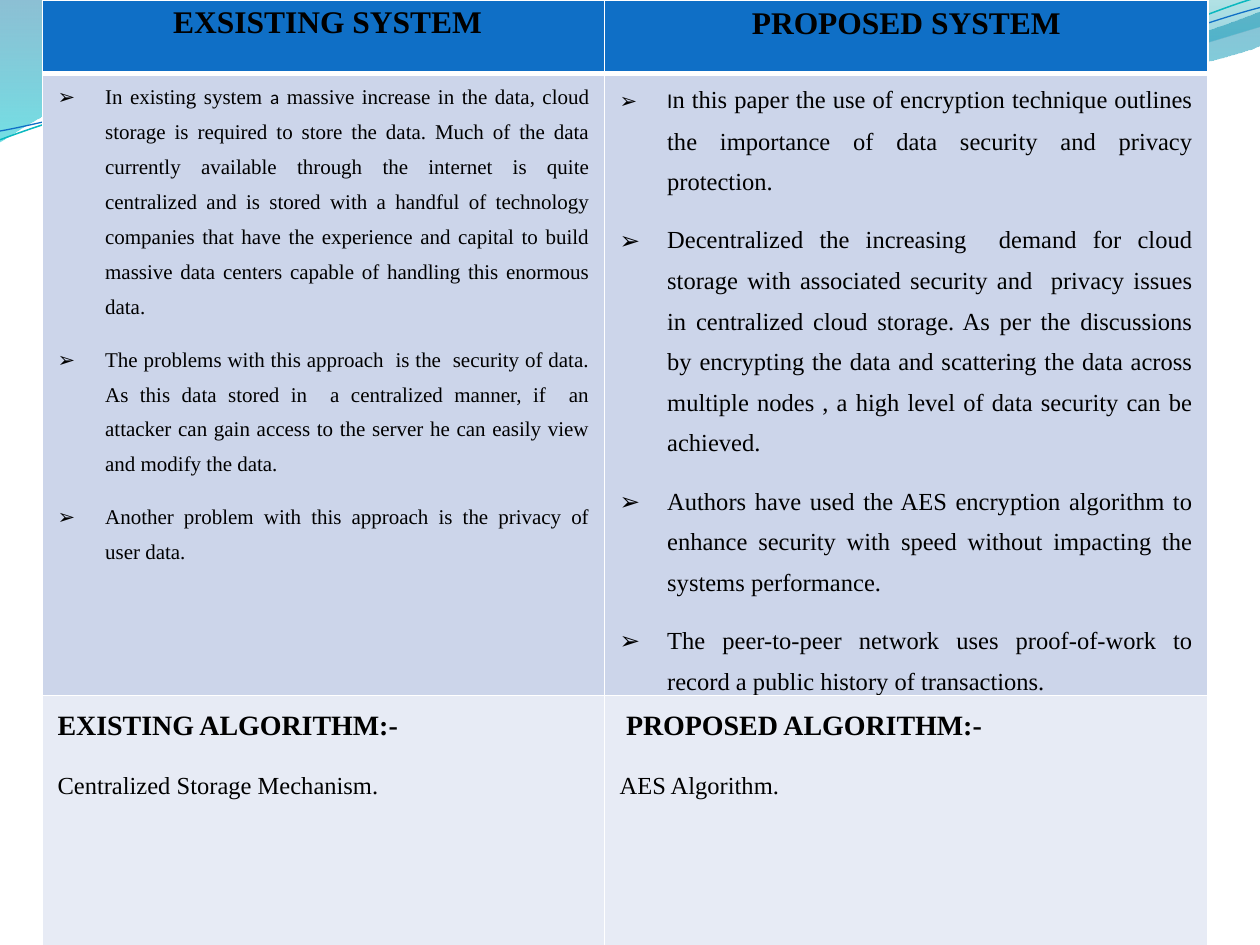
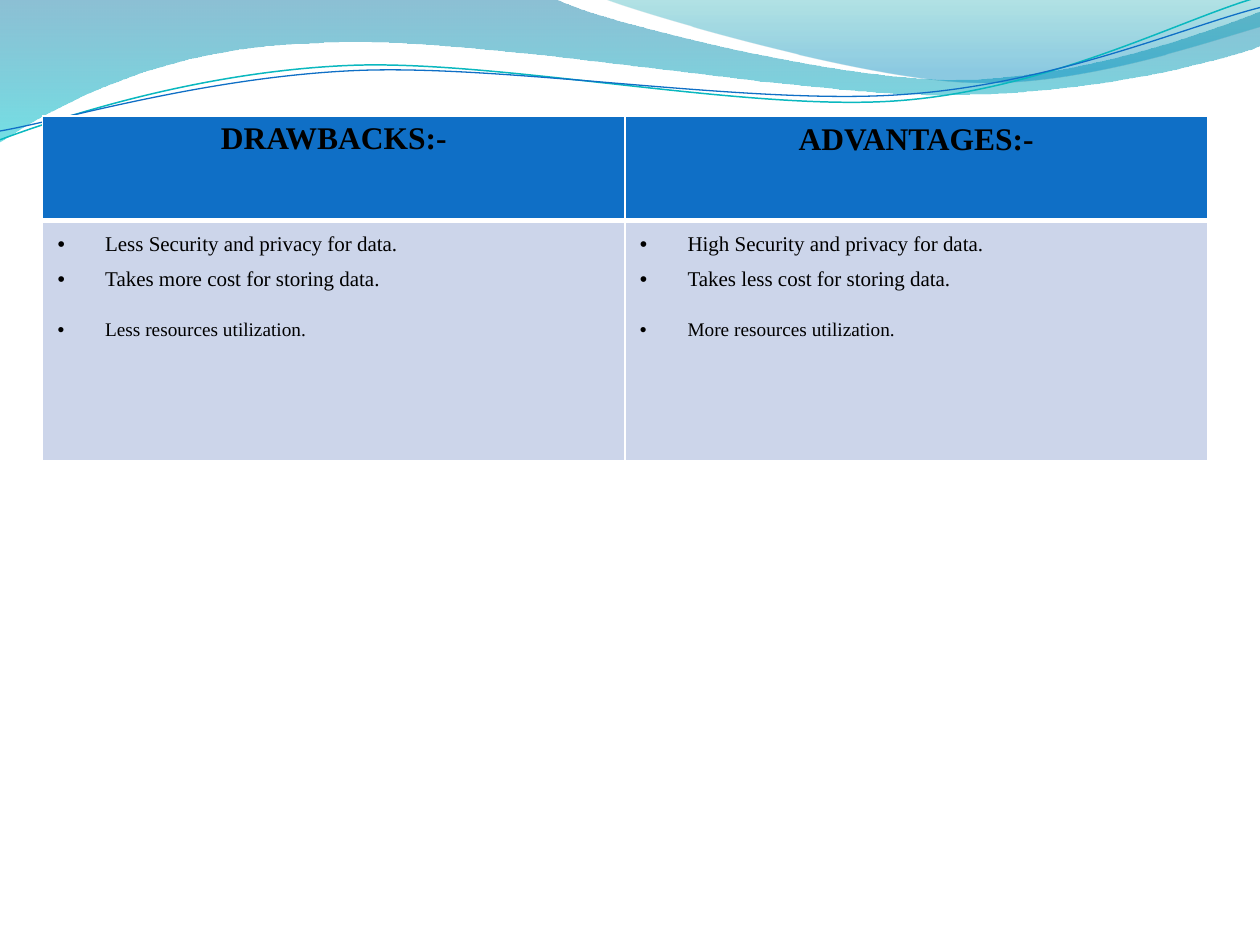
from lxml.etree import SubElement
from pptx import Presentation
from pptx.dml.color import RGBColor
from pptx.enum.text import PP_ALIGN as Align
from pptx.oxml.ns import qn
from pptx.util import Cm, Pt

# Shared look
SERIF, SANS = "Times New Roman", "Calibri"
BLACK, WHITE = "000000", "FFFFFF"
ROW_FILLS = ["0F6FC6", "CCD5EA", "E7EBF5"]
HANGING = Cm(0.96)
CELL_PADDING = Cm(0.3)
TABLE_LEFT = Cm(0.86)


def color(hex_string):
    return RGBColor.from_string(hex_string)


def add_border(cell, side, width):
    line = SubElement(cell._tc.get_or_add_tcPr(), qn(f"a:{side}"), w=str(Pt(width)))
    fill = SubElement(line, qn("a:solidFill"))
    SubElement(fill, qn("a:srgbClr"), val=WHITE)


presentation = Presentation()
presentation.slide_width, presentation.slide_height = Cm(25.4), Cm(19.05)
layout = presentation.slide_layouts[6]
for placeholder in list(layout.placeholders):
    layout.shapes.element.remove(placeholder.element)

# Wave outlines in inches: two numbers make a straight step, six a curve
# Filled waves have (position, colour, opacity) stops; lines have (colour, width)
waves = [
    {"start": (0, 0),
     "steps": [(4.4, -0.01), (4.76, 0.17, 6.64, 0.63, 7.58, 0.63),
               (8.53, 0.63, 9.58, 0.26, 10, 0.09), (10.01, 0.36),
               (9.83, 0.44, 8.7, 0.76, 7.46, 0.75),
               (6.22, 0.75, 3.82, 0.28, 2.57, 0.34),
               (1.29, 0.36, 0.46, 0.83, -0.01, 1.13), (0, 0)],
     "stops": [(0, "0074A1", 45), (1, "00C6CF", 55)]},
    {"start": (4.79, -0.01),
     "steps": [(5.09, 0.11, 6.82, 0.62, 7.69, 0.65),
               (8.56, 0.69, 9.61, 0.32, 10, 0.21), (10, 0), (4.79, -0.01)],
     "stops": [(0, "00A1A9", 30), (0.8, "008BBF", 45)]},
    {"start": (0, 1.11),
     "steps": [(0.48, 0.93, 1.58, 0.57, 2.77, 0.52),
               (3.95, 0.47, 5.93, 0.89, 7.13, 0.8),
               (8.33, 0.71, 9.38, 0.15, 9.98, -0.02)],
     "line": ("0AB8BF", 0.85)},
    {"start": (0, 1.04),
     "steps": [(0.47, 0.96, 1.64, 0.61, 2.83, 0.56),
               (4.03, 0.51, 5.97, 0.84, 7.17, 0.75),
               (8.36, 0.67, 9.41, 0.21, 10, 0.06)],
     "line": ("0F6FC6", 0.75)},
]

# Table contents: each paragraph is (runs, bullet, space after, left indent),
# each run is (text, size, font, bold)
comparison_rows = [
    [[([(" EXSISTING SYSTEM", 18, SERIF, True)], None, 10, 0)],
     [([("PROPOSED SYSTEM", 18, SERIF, True)], None, 10, 0)]],
    [[([("In existing system ", 12, SERIF, False), ("a", 11, SANS, False),
        (" massive increase in the data, cloud storage is required to store the data. "
         "Much of the data currently available through the internet is quite centralized "
         "and is stored with a handful of technology companies that have the experience "
         "and capital to build massive data centers capable of handling this enormous "
         "data. ", 12, SERIF, False)], "➢", 10, 0),
      ([("The problems with this approach  is the  security of data. As this data stored "
         "in  a centralized manner, if  an attacker can gain access to the server he can "
         "easily view and modify the data.", 12, SERIF, False)], "➢", 10, 0),
      ([("Another problem with this approach is the privacy of user data.",
         12, SERIF, False)], "➢", 10, 0)],
     [([("I", 12, SANS, False),
        ("n this paper the use of encryption technique outlines the importance of data "
         "security and privacy protection. ", 14, SERIF, False)], "➢", 10, 0),
      ([("Decentralized the increasing  demand for cloud storage with associated security "
         "and  privacy issues in centralized cloud storage. As per the discussions by "
         "encrypting the data and scattering the data across multiple nodes , a high level "
         "of data security can be achieved.", 14, SERIF, False)], "➢", 10, 0),
      ([("Authors have used the AES encryption algorithm to enhance security with speed "
         "without impacting the systems performance.", 14, SERIF, False)], "➢", 10, 0),
      ([("The peer-to-peer network uses proof-of-work to record a public history of "
         "transactions.", 14, SERIF, False)], "➢", 10, 0)]],
    [[([("EXISTING ALGORITHM:-", 16, SERIF, True)], None, 10, 0),
      ([("Centralized Storage Mechanism.", 14, SERIF, False)], None, 10, 0)],
     [([("PROPOSED ALGORITHM:-", 16, SERIF, True)], None, 10, Cm(0.13)),
      ([("AES Algorithm.", 14, SERIF, False)], None, 10, 0)]],
]
outcome_rows = [
    [[([(heading, 18, SERIF, True)], None, 10, 0)]
     for heading in ("DRAWBACKS:-", "ADVANTAGES:-")],
    [[([(f"{security} Security and privacy for data.", 12, SERIF, False)], "•", 0, 0),
      ([(f"Takes {cost} cost for storing data.", 12, SERIF, False)], "•", 10, 0),
      ([(f"{resources} resources utilization.", 11, SERIF, False)], "•", 10, 0)]
     for security, cost, resources in (("Less", "more", "Less"), ("High", "less", "More"))],
]
# Top, column widths and row heights in centimetres
tables = [
    (0, [11.33, 12.16], [1.48, 8.89, 5.23], comparison_rows),
    (2.34, [11.74, 11.74], [2.11, 4.83], outcome_rows),
]

slides = [presentation.slides.add_slide(layout) for _ in tables]

# Waves, made once and moved to the shared layout
for wave in waves:
    points = [wave["start"]]
    for step in wave["steps"]:
        points += zip(step[::2], step[1::2])
    points = [(x * 1000, y * 1000) for x, y in points]
    builder = slides[0].shapes.build_freeform(*points[0], scale=Cm(2.54) / 1000)
    builder.add_line_segments(points[1:], close="stops" in wave)
    shape = builder.convert_to_shape()
    shape.shadow.inherit = False

    # Each curved step merges three straight segments into one Bézier segment
    segments = iter(list(shape.element.iter(qn("a:lnTo"))))
    for step in wave["steps"]:
        segment = next(segments)
        if len(step) == 6:
            segment.tag = qn("a:cubicBezTo")
            for _ in range(2):
                control = next(segments)
                control.getparent().remove(control)
                segment.append(control[0])

    if "stops" in wave:
        shape.fill.gradient()
        shape.fill.gradient_angle = 270
        for stop, (position, hex_string, _) in zip(shape.fill.gradient_stops, wave["stops"]):
            stop.position = position
            stop.color.rgb = color(hex_string)
        stop_colors = shape.element.spPr.iter(qn("a:srgbClr"))
        for stop_color, (_, _, opacity) in zip(stop_colors, wave["stops"]):
            SubElement(stop_color, qn("a:alpha"), val=str(opacity * 1000))
        shape.line.fill.background()
    else:
        hex_string, width = wave["line"]
        shape.fill.background()
        shape.line.color.rgb = color(hex_string)
        shape.line.width = Pt(width)
    layout.shapes.element.append(shape.element)

# Tables
for slide, (top, widths, heights, rows) in zip(slides, tables):
    frame = slide.shapes.add_table(len(rows), len(widths), TABLE_LEFT, Cm(top),
                                   Cm(sum(widths)), Cm(sum(heights)))
    table = frame.table
    table.horz_banding = False
    for column, width in zip(table.columns, widths):
        column.width = Cm(width)
    for row_index, (row, height) in enumerate(zip(rows, heights)):
        is_header = row_index == 0
        table.rows[row_index].height = Cm(height)
        for column_index, paragraphs in enumerate(row):
            cell = table.cell(row_index, column_index)
            # The right heading keeps the default padding and single spacing
            is_plain = is_header and column_index == 1
            if not is_plain:
                cell.margin_left = cell.margin_right = CELL_PADDING
                cell.margin_top = cell.margin_bottom = 0
            add_border(cell, "lnL", 1)
            add_border(cell, "lnR", 1)
            add_border(cell, "lnT", 3 if row_index == 1 else 1)
            add_border(cell, "lnB", 3 if is_header else 1)
            cell.fill.solid()
            cell.fill.fore_color.rgb = color(ROW_FILLS[row_index])

            for index, (runs, bullet, space_after, indent) in enumerate(paragraphs):
                text_frame = cell.text_frame
                paragraph = text_frame.add_paragraph() if index else text_frame.paragraphs[0]
                paragraph.alignment = Align.CENTER if is_header else Align.JUSTIFY
                if not is_plain:
                    paragraph.line_spacing = 1.15 if is_header else 1.5
                    paragraph.space_after = Pt(space_after)
                properties = paragraph._p.get_or_add_pPr()
                properties.set("marL", str(HANGING if bullet else indent))
                properties.set("indent", str(-HANGING if bullet else 0))
                if bullet:
                    SubElement(properties, qn("a:buFont"), typeface="Arial")
                    SubElement(properties, qn("a:buChar"), char=bullet)
                for text, size, font_name, bold in runs:
                    run = paragraph.add_run()
                    run.text = text
                    run.font.size = Pt(size)
                    run.font.name = font_name
                    run.font.bold = bold
                    run.font.color.rgb = color(BLACK)

presentation.save("out.pptx")
